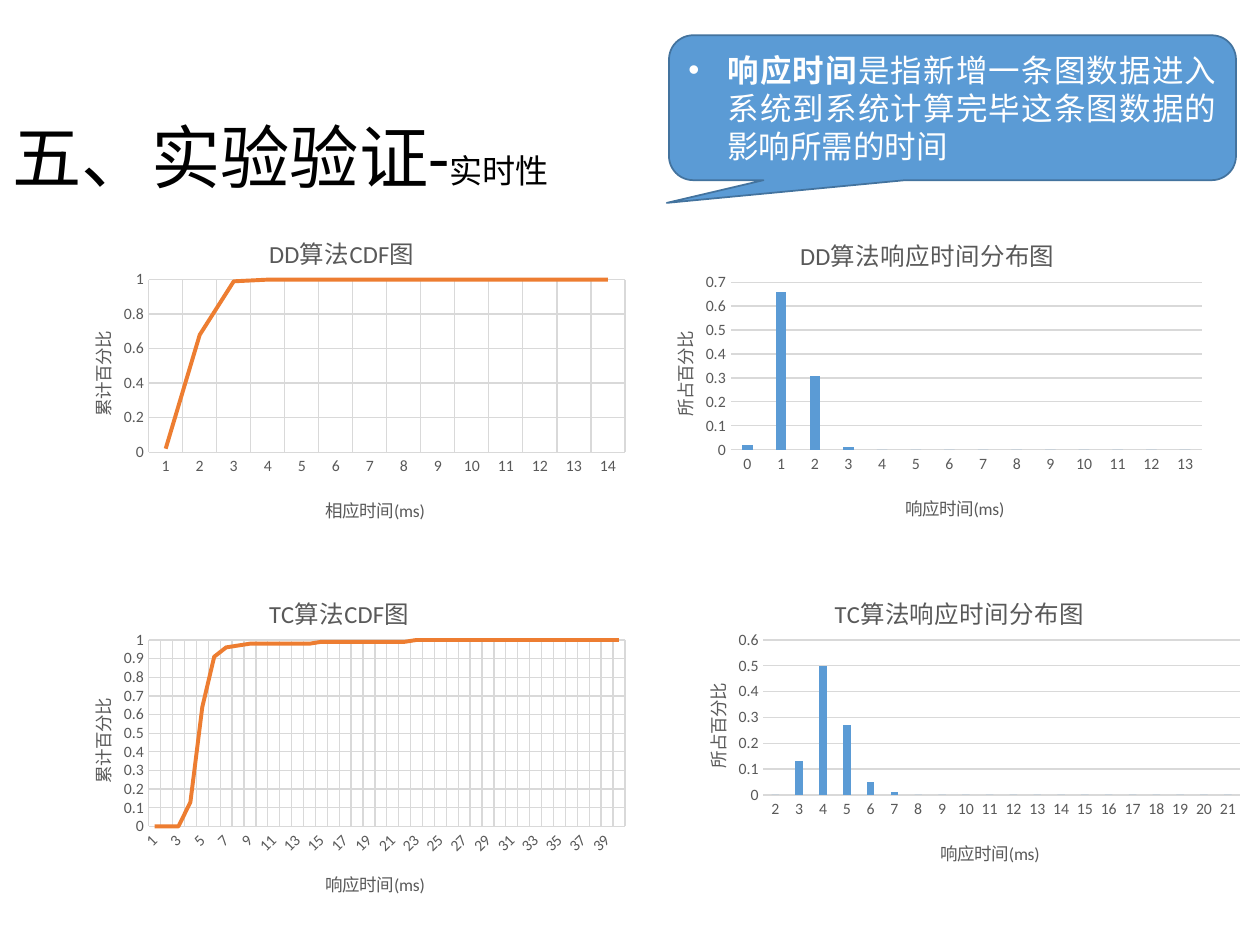
from lxml.etree import Element, SubElement
from pptx import Presentation
from pptx.chart.data import CategoryChartData
from pptx.dml.color import RGBColor
from pptx.enum.chart import XL_CHART_TYPE as ChartType, XL_TICK_MARK as TickMark
from pptx.enum.shapes import MSO_SHAPE as Shape
from pptx.enum.text import MSO_ANCHOR as Anchor, MSO_AUTO_SIZE as AutoSize, PP_ALIGN as Align
from pptx.oxml.ns import qn
from pptx.util import Inches, Pt

FONT = "Calibri"
BLACK = RGBColor(0x00, 0x00, 0x00)
WHITE = RGBColor(0xFF, 0xFF, 0xFF)
GRAY = RGBColor(0x59, 0x59, 0x59)
GRID = RGBColor(0xD9, 0xD9, 0xD9)
ORANGE = RGBColor(0xED, 0x7D, 0x31)
BLUE = RGBColor(0x5B, 0x9B, 0xD5)
DARK_BLUE = RGBColor(0x43, 0x73, 0x9E)

# Boxes are left, top, width, height in inches on the slide.
CHARTS = [
    {"kind": ChartType.LINE, "box": (0.44, 4.46, 4.62, 2.85), "plot": (1.18, 5.08, 3.78, 1.48),
     "title": "TC算法CDF图", "x_title": "响应时间(ms)", "y_title": "累计百分比",
     "first": 1, "maximum": 1, "unit": 0.1,
     "values": [0] * 3 + [0.13, 0.64, 0.91, 0.96, 0.97] + [0.98] * 6 + [0.99] * 8 + [1] * 18},
    {"kind": ChartType.LINE, "box": (0.44, 1.61, 4.62, 2.68), "plot": (1.18, 2.22, 3.78, 1.37),
     "title": "DD算法CDF图", "x_title": "相应时间(ms)", "y_title": "累计百分比",
     "first": 1, "maximum": 1, "unit": 0.2,
     "values": [0.02, 0.68, 0.99] + [1] * 11},
    {"kind": ChartType.COLUMN_CLUSTERED, "box": (5.06, 1.62, 4.57, 2.65),
     "plot": (5.8, 2.24, 3.74, 1.33),
     "title": "DD算法响应时间分布图", "x_title": "响应时间(ms)", "y_title": "所占百分比",
     "first": 0, "maximum": 0.7, "unit": 0.1,
     "values": [0.02, 0.66, 0.31, 0.01] + [0] * 10},
    {"kind": ChartType.COLUMN_CLUSTERED, "box": (5.31, 4.48, 4.62, 2.54),
     "plot": (6.06, 5.08, 3.78, 1.23),
     "title": "TC算法响应时间分布图", "x_title": "响应时间(ms)", "y_title": "所占百分比",
     "first": 2, "maximum": 0.6, "unit": 0.1,
     "values": [0, 0.13, 0.5, 0.27, 0.05, 0.01] + [0] * 14},
]


def set_font(font, size, color, bold=False):
    formats = {"name": FONT, "size": Pt(size), "bold": bold}
    for name, value in formats.items():
        setattr(font, name, value)
    font.color.rgb = color


def add_run(paragraph, text, size, color, bold=False):
    run = paragraph.add_run()
    run.text = text
    set_font(run.font, size, color, bold)


def set_line(line, color, width):
    line.color.rgb = color
    line.width = Pt(width)


def set_layout(parent, index, box, area):
    """Place a chart part at area (left, top and optionally size), inside the chart's box."""
    for old in parent.findall(qn("c:layout")):
        parent.remove(old)
    layout = Element(qn("c:layout"))
    parent.insert(index, layout)
    manual = SubElement(layout, qn("c:manualLayout"))
    settings = {"xMode": "edge", "yMode": "edge",
                "x": (area[0] - box[0]) / box[2], "y": (area[1] - box[1]) / box[3]}
    if len(area) == 4:
        settings = {"layoutTarget": "inner", **settings,
                    "w": area[2] / box[2], "h": area[3] / box[3]}
    for name, value in settings.items():
        text = value if isinstance(value, str) else f"{value:.4f}"
        SubElement(manual, qn(f"c:{name}")).set("val", text)


def add_chart_text(title, text, size, box, position, rotation="0"):
    frame = title.text_frame
    add_run(frame.paragraphs[0], text, size, GRAY)
    body = frame._txBody.find(qn("a:bodyPr"))
    body.set("rot", rotation)
    body.set("vert", "horz")
    set_layout(title._element, 1, box, position)


def format_axis(axis, gridlines):
    axis.major_tick_mark = axis.minor_tick_mark = TickMark.NONE
    axis.has_major_gridlines = gridlines
    if gridlines:
        set_line(axis.major_gridlines.format.line, GRID, 0.75)
    set_font(axis.tick_labels.font, 9, GRAY)


def format_axes(chart, values, is_line):
    category, value = chart.category_axis, chart.value_axis
    format_axis(category, is_line)
    format_axis(value, True)
    set_line(category.format.line, GRID, 0.75)
    value.format.line.fill.background()
    # This rotation value lets crowded labels turn by themselves.
    category._element.find(qn("c:txPr")).find(qn("a:bodyPr")).set("rot", "-60000000")
    scale = {"minimum_scale": 0, "maximum_scale": values["maximum"], "major_unit": values["unit"]}
    for name, number in scale.items():
        setattr(value, name, number)
    value.tick_labels.number_format = "General"
    value.tick_labels.number_format_is_linked = False


def format_series(plot, is_line):
    plot.vary_by_categories = False
    series = plot.series[0]
    if is_line:
        series.smooth = False
        set_line(series.format.line, ORANGE, 2.25)
    else:
        plot.gap_width, plot.overlap = 219, -27
        series.format.fill.solid()
        series.format.fill.fore_color.rgb = BLUE


def add_chart(slide, values):
    box, area = values["box"], values["plot"]
    is_line = values["kind"] == ChartType.LINE
    data = CategoryChartData()
    first = values["first"]
    data.categories = [str(first + i) for i in range(len(values["values"]))]
    data.add_series("Series 1", values["values"])
    chart = slide.shapes.add_chart(values["kind"], *map(Inches, box), data).chart
    chart.has_legend = False
    set_font(chart.font, 10, BLACK)
    format_axes(chart, values, is_line)
    format_series(chart.plots[0], is_line)
    set_layout(chart._chartSpace.chart.plotArea, 0, box, area)

    left, top, width, height = area
    half_title = 0.65 if is_line else 1.03
    add_chart_text(chart.chart_title, values["title"], 14, box,
                   (box[0] + box[2] / 2 - half_title, top - 0.42))
    add_chart_text(chart.category_axis.axis_title, values["x_title"], 10, box,
                   (left + width / 2 - 0.51, top + height + 0.32))
    add_chart_text(chart.value_axis.axis_title, values["y_title"], 10, box,
                   (left - 0.5, top + height / 2 - 0.3), "-5400000")


def add_title(slide):
    title = slide.shapes.title
    title.left, title.top, title.width, title.height = map(Inches, (0, 0.92, 8.62, 0.71))
    frame = title.text_frame
    frame.auto_size = AutoSize.NONE
    frame.vertical_anchor = Anchor.MIDDLE
    paragraph = frame.paragraphs[0]
    paragraph.alignment = Align.LEFT
    paragraph.line_spacing = 0.9
    add_run(paragraph, "五、实验验证-", 39.6, BLACK)
    add_run(paragraph, "实时性", 18.9, BLACK)


def add_callout(slide):
    callout = slide.shapes.add_shape(Shape.ROUNDED_RECTANGULAR_CALLOUT,
                                     *map(Inches, (5.31, 0.28, 4.5, 1.15)))
    callout.shadow.inherit = False
    for i, adjustment in enumerate((-0.504, 0.657, 0.167)):
        callout.adjustments[i] = adjustment
    callout.fill.solid()
    callout.fill.fore_color.rgb = BLUE
    set_line(callout.line, DARK_BLUE, 1)
    frame = callout.text_frame
    frame.word_wrap = True
    frame.vertical_anchor = Anchor.MIDDLE
    paragraph = frame.paragraphs[0]
    paragraph.alignment = Align.JUSTIFY
    properties = paragraph._p.get_or_add_pPr()
    properties.set("marL", str(Inches(0.31)))
    properties.set("indent", str(Inches(-0.31)))
    SubElement(properties, qn("a:buFont")).set("typeface", "Arial")
    SubElement(properties, qn("a:buChar")).set("char", "•")
    add_run(paragraph, "响应时间", 18, WHITE, bold=True)
    add_run(paragraph, "是指新增一条图数据进入系统到系统计算完毕这条图数据的影响所需的时间", 18, WHITE)


def main():
    presentation = Presentation()
    presentation.slide_width, presentation.slide_height = Inches(10), Inches(7.5)
    slide = presentation.slides.add_slide(presentation.slide_layouts[5])
    add_title(slide)
    for values in CHARTS:
        add_chart(slide, values)
    add_callout(slide)
    presentation.save("out.pptx")


if __name__ == "__main__":
    main()
